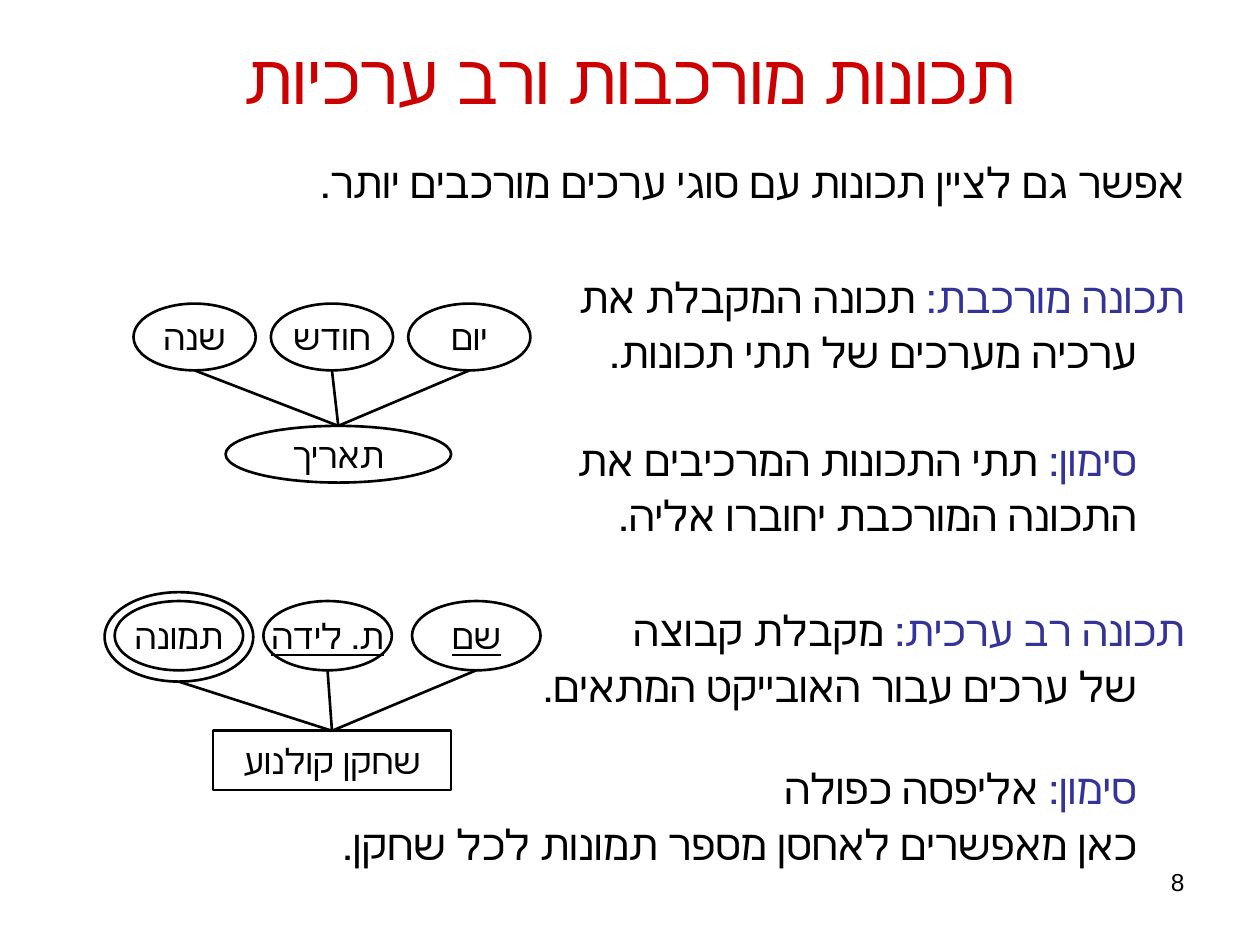
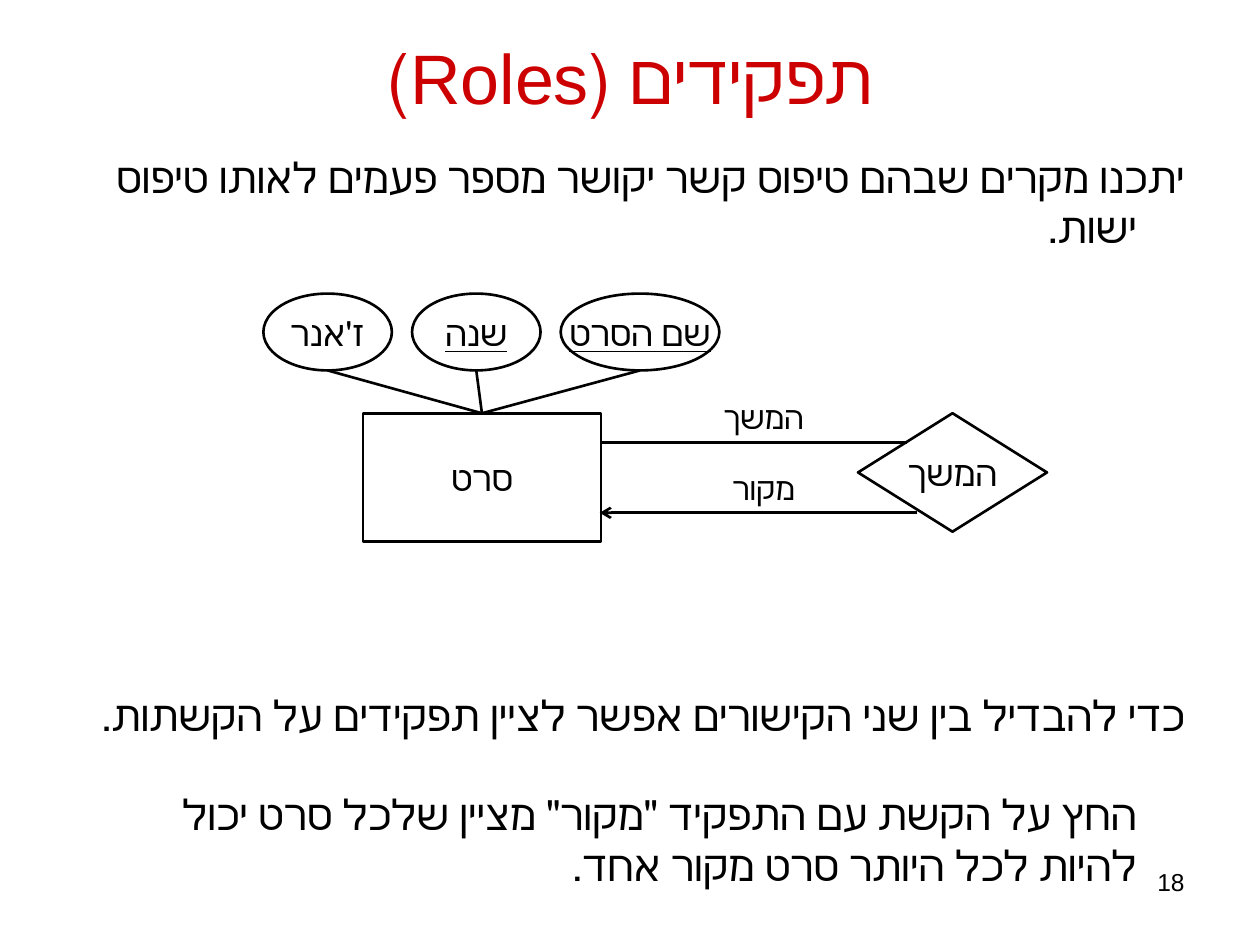
from dataclasses import dataclass

from lxml import etree
from pptx import Presentation, util as u
from pptx.dml.color import RGBColor
from pptx.enum import shapes, text
from pptx.oxml.ns import qn

A = text.PP_ALIGN
G = shapes.MSO_SHAPE


@dataclass(frozen=True)
class Theme:
    font: str = "Arial"
    title: str = "CC0000"
    term: str = "333399"
    ink: str = "000000"
    title_size: int = 40
    body_size: int = 24
    node_size: int = 20
    role_size: int = 18
    number_size: int = 14
    line_width: float = 1.5
    indent: float = 0.38


T = Theme()


def style(r, size, color=T.ink, underline=None):
    f = r.font
    f.name, f.size, f.underline = T.font, u.Pt(size), underline
    f.color.rgb = RGBColor.from_string(color)


def make_rtl(p, hanging=None):
    pPr = p._p.get_or_add_pPr()
    pPr.set("rtl", "1")
    if hanging is not None:
        pPr.set("marL", str(u.Inches(T.indent)))
        pPr.set("indent", str(u.Inches(-T.indent if hanging else 0)))


def add_text(s, box, content, size, color=T.ink, align=A.CENTER):
    sp = s.shapes.add_textbox(*map(u.Inches, box))
    tf = sp.text_frame
    tf.word_wrap = True
    tf.text = content
    p = tf.paragraphs[0]
    p.alignment = align
    style(p.runs[0], size, color)
    return sp


def add_page(prs, title, number):
    s = prs.slides.add_slide(prs.slide_layouts[6])
    add_text(s, (7.17, 6.83, 2.33, 0.52), str(number), T.number_size, align=A.RIGHT)
    tf = add_text(s, (0.5, 0.3, 9, 0.61), title, T.title_size, T.title).text_frame
    tf.vertical_anchor = text.MSO_ANCHOR.MIDDLE
    make_rtl(tf.paragraphs[0])
    return s


def add_body(s, paragraphs, spacing):
    sp = s.shapes.add_textbox(*map(u.Inches, (0.5, 1.15, 9, 5.98)))
    tf = sp.text_frame
    tf.word_wrap = True
    for i, (before, hanging, term, lines) in enumerate(paragraphs):
        p = tf.add_paragraph() if i else tf.paragraphs[0]
        make_rtl(p, hanging)
        p.alignment = A.RIGHT
        p.line_spacing = spacing
        p.space_before = u.Pt(before)
        if term:
            p.text = term
            style(p.runs[0], T.body_size, T.term)
        for j, line in enumerate(lines):
            if j:
                p.add_line_break()
            r = p.add_run()
            r.text = line
            style(r, T.body_size)


def add_node(s, kind, box, label="", key=False):
    sp = s.shapes.add_shape(kind, *map(u.Inches, box))
    sp.shadow.inherit = False
    sp.fill.background()
    sp.line.color.rgb = RGBColor.from_string(T.ink)
    sp.line.width = u.Pt(T.line_width)
    if label:
        tf = sp.text_frame
        tf.word_wrap = False
        tf.vertical_anchor = text.MSO_ANCHOR.MIDDLE
        tf.text = label
        p = tf.paragraphs[0]
        p.alignment = A.CENTER
        style(p.runs[0], T.node_size, underline=key or None)
    return sp


def add_line(s, x1, y1, x2, y2, arrow=False):
    cx = s.shapes.add_connector(shapes.MSO_CONNECTOR.STRAIGHT, x1, y1, x2, y2)
    cx.line.color.rgb = RGBColor.from_string(T.ink)
    cx.line.width = u.Pt(T.line_width)
    if arrow:
        etree.SubElement(cx.line._get_or_add_ln(), qn("a:tailEnd"), type="arrow")
    etree.SubElement(cx._element.spPr, qn("a:effectLst"))
    return cx


def join_to_top(s, owner, attributes):
    for sp in attributes:
        x, y = sp.left + sp.width // 2, sp.top + sp.height
        add_line(s, x, y, owner.left + owner.width // 2, owner.top).end_connect(owner, 0)


def add_attributes(s, top, height, items):
    return [add_node(s, G.OVAL, (left, top, width, height), label, key)
            for left, width, label, key in items]


def build_attributes_page(prs):
    s = add_page(prs, "תכונות מורכבות ורב ערכיות", 8)
    add_body(s, [
        (0, True, "", ["אפשר גם לציין תכונות עם סוגי ערכים מורכבים יותר."]),
        (34, True, "תכונה מורכבת:",
         [" תכונה המקבלת את", "ערכיה מערכים של תתי תכונות."]),
        (30, False, "סימון:",
         [" תתי התכונות המרכיבים את", "התכונה המורכבת יחוברו אליה."]),
        (34, True, "תכונה רב ערכית:",
         [" מקבלת קבוצה", "של ערכים עבור האובייקט המתאים."]),
        (27, False, "סימון:",
         [" אליפסה כפולה", "כאן מאפשרים לאחסן מספר תמונות לכל שחקן."]),
    ], 1.1)

    date = add_node(s, G.OVAL, (1.79, 3.38, 1.79, 0.45), "תאריך")
    parts = add_attributes(s, 2.41, 0.53, [
        (1.06 + 1.09 * i, 0.97, label, False)
        for i, label in enumerate(("שנה", "חודש", "יום"))])
    join_to_top(s, date, parts)

    double_ring = add_node(s, G.OVAL, (0.83, 4.7, 1.18, 0.71))
    actor = add_node(s, G.RECTANGLE, (1.69, 5.8, 1.89, 0.47), "שחקן קולנוע")
    labels = (("תמונה", False), ("ת. לידה", True), ("שם", True))
    fields = add_attributes(s, 4.77, 0.55, [
        (0.91 + 1.18 * i, 1.02, *label) for i, label in enumerate(labels)])
    join_to_top(s, actor, [double_ring] + fields[1:])


def build_roles_page(prs):
    s = add_page(prs, "תפקידים (Roles)", 18)
    add_body(s, [
        (0, True, "", ["יתכנו מקרים שבהם טיפוס קשר יקושר מספר פעמים לאותו טיפוס ישות."]),
        (250, True, "", ["כדי להבדיל בין שני הקישורים אפשר לציין תפקידים על הקשתות."]),
        (28, False, "", ["החץ על הקשת עם התפקיד \"מקור\" מציין שלכל סרט יכול "
                         "להיות לכל היותר סרט מקור אחד."]),
    ], 1.0)

    movie = add_node(s, G.RECTANGLE, (2.88, 3.28, 1.89, 1.02), "סרט")
    fields = add_attributes(s, 2.33, 0.61, [
        (2.09, 1.02, "ז'אנר", False),
        (3.27, 1.02, "שנה", True),
        (4.45, 1.26, "שם הסרט", True)])
    join_to_top(s, movie, fields)

    add_node(s, G.DIAMOND, (6.81, 3.28, 1.5, 0.94), "המשך")
    for role, y, start, arrow in (("המשך", 3.51, 7.2, False), ("מקור", 4.07, 7.28, True)):
        add_line(s, *map(u.Inches, (start, y, 4.76, y)), arrow=arrow)
        add_text(s, (5.55, y - 0.4, 1.02, 0.4), role, T.role_size)


def main():
    prs = Presentation()
    prs.slide_width, prs.slide_height = u.Inches(10), u.Inches(7.5)
    build_attributes_page(prs)
    build_roles_page(prs)
    prs.save("out.pptx")


if __name__ == "__main__":
    main()
